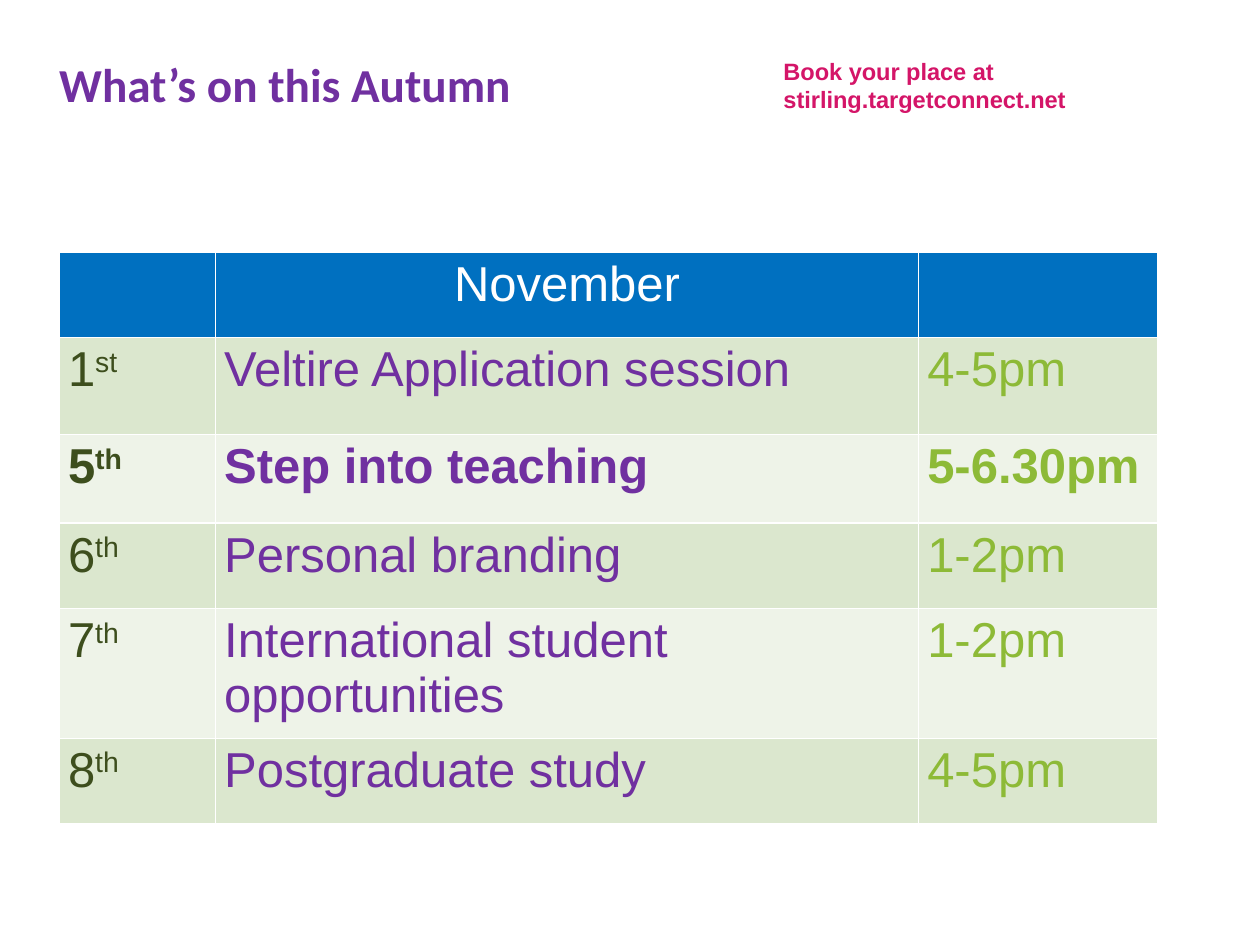
from dataclasses import dataclass

from lxml.etree import SubElement
from pptx import Presentation
from pptx.dml.color import RGBColor
from pptx.enum.text import MSO_ANCHOR, PP_ALIGN
from pptx.oxml.ns import qn
from pptx.util import Inches, Pt

COLOURS = {
    "purple": "7030A0",
    "pink": "D41568",
    "blue": "0070C0",
    "white": "FFFFFF",
    "dark green": "3D4E1D",
    "lime": "8DBA37",
    "odd row": "DBE7CE",
    "even row": "EEF3E8",
}
COLUMN_WIDTHS = (1.24, 5.58, 1.9)
HEADER_HEIGHT = 0.68


@dataclass
class Event:
    day: str
    suffix: str
    name: str
    time: str
    height: float = 0.68
    bold: bool = False


EVENTS = [
    Event("1", "st", "Veltire Application session", "4-5pm", height=0.77),
    Event("5", "th", "Step into teaching", "5-6.30pm", height=0.7, bold=True),
    Event("6", "th", "Personal branding", "1-2pm"),
    Event("7", "th", "International student opportunities", "1-2pm", height=1.03),
    Event("8", "th", "Postgraduate study", "4-5pm"),
]


def add_span(para, text: str, colour: str, size: float = 28, bold: bool = False,
             name: str = "Arial", raised: bool = False) -> None:
    span = para.add_run()
    span.text = text
    formats = {"size": Pt(size), "bold": bold, "name": name}
    for attribute, value in formats.items():
        setattr(span.font, attribute, value)
    span.font.color.rgb = RGBColor.from_string(COLOURS[colour])
    if raised:
        span.font._element.set("baseline", "30000")


def add_box(page, left: float, top: float, width: float, height: float,
            margins: tuple[float, float]):
    """Add a top-anchored text box and return its first paragraph."""
    box = page.shapes.add_textbox(*map(Inches, (left, top, width, height)))
    across, down = map(Inches, margins)
    formats = {
        "word_wrap": True, "vertical_anchor": MSO_ANCHOR.TOP,
        "margin_left": across, "margin_right": across,
        "margin_top": down, "margin_bottom": down,
    }
    for attribute, value in formats.items():
        setattr(box.text_frame, attribute, value)
    return box.text_frame.paragraphs[0]


def style_cell(cell, fill: str) -> None:
    """Set the margins, white borders and fill of a table cell."""
    formats = {
        "margin_left": Inches(0.07), "margin_right": Inches(0.07),
        "margin_top": Inches(0.04), "margin_bottom": Inches(0.04),
    }
    for attribute, value in formats.items():
        setattr(cell, attribute, value)
    properties = cell._tc.get_or_add_tcPr()
    for side in ("lnL", "lnR", "lnT", "lnB"):
        line = SubElement(properties, qn(f"a:{side}"), w=str(Pt(1)))
        solid = SubElement(line, qn("a:solidFill"))
        SubElement(solid, qn("a:srgbClr"), val=COLOURS["white"])
    cell.fill.solid()
    cell.fill.fore_color.rgb = RGBColor.from_string(COLOURS[fill])


def add_programme(page, left: float, top: float) -> None:
    heights = [HEADER_HEIGHT] + [event.height for event in EVENTS]
    table = page.shapes.add_table(
        len(heights), len(COLUMN_WIDTHS), Inches(left), Inches(top),
        Inches(sum(COLUMN_WIDTHS)), Inches(sum(heights))).table
    for column, width in zip(table.columns, COLUMN_WIDTHS):
        column.width = Inches(width)
    for index, height in enumerate(heights):
        table.rows[index].height = Inches(height)
        fill = "blue" if index == 0 else "odd row" if index % 2 else "even row"
        for cell in table.rows[index].cells:
            style_cell(cell, fill)

    # Month heading
    month = table.cell(0, 1).text_frame.paragraphs[0]
    month.alignment = PP_ALIGN.CENTER
    add_span(month, "November", "white")

    # Events
    for index, event in enumerate(EVENTS, start=1):
        date, name, time = (cell.text_frame.paragraphs[0]
                            for cell in table.rows[index].cells)
        add_span(date, event.day, "dark green", bold=event.bold)
        add_span(date, event.suffix, "dark green", bold=event.bold, raised=True)
        add_span(name, event.name, "purple", bold=event.bold)
        add_span(time, event.time, "lime", bold=event.bold)


def main() -> None:
    deck = Presentation()
    deck.slide_width, deck.slide_height = Inches(10), Inches(7.5)
    page = deck.slides.add_slide(deck.slide_layouts[6])

    # Title
    title = add_box(page, 0.47, 0.47, 9.06, 1.46, margins=(0, 0))
    title.line_spacing = Pt(30)
    add_span(title, "What’s on this Autumn", "purple", 27, True, "Calibri")

    # Booking address
    booking = add_box(page, 6.12, 0.4, 3.6, 0.56, margins=(0.1, 0.05))
    add_span(booking, "Book your place at stirling.targetconnect.net",
             "pink", 13.5, True)

    # Programme table
    add_programme(page, 0.47, 2)
    deck.save("out.pptx")


if __name__ == "__main__":
    main()
